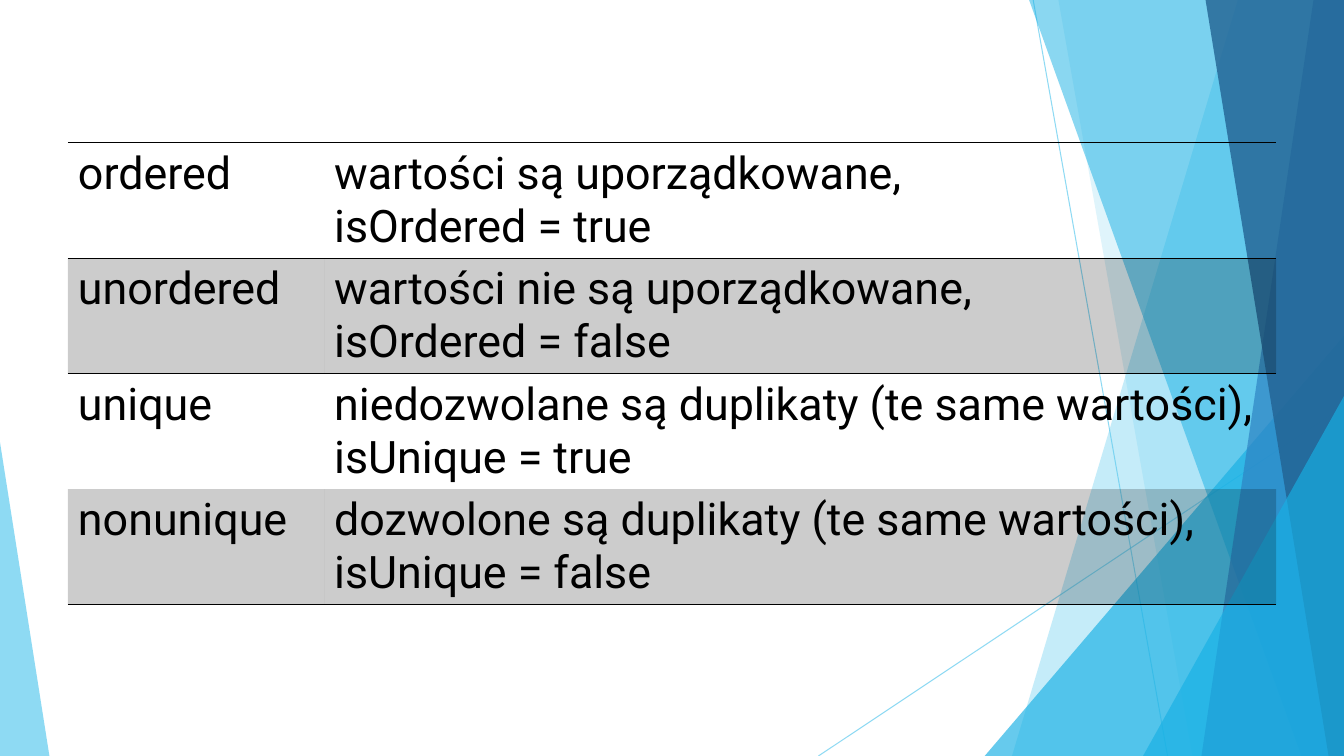
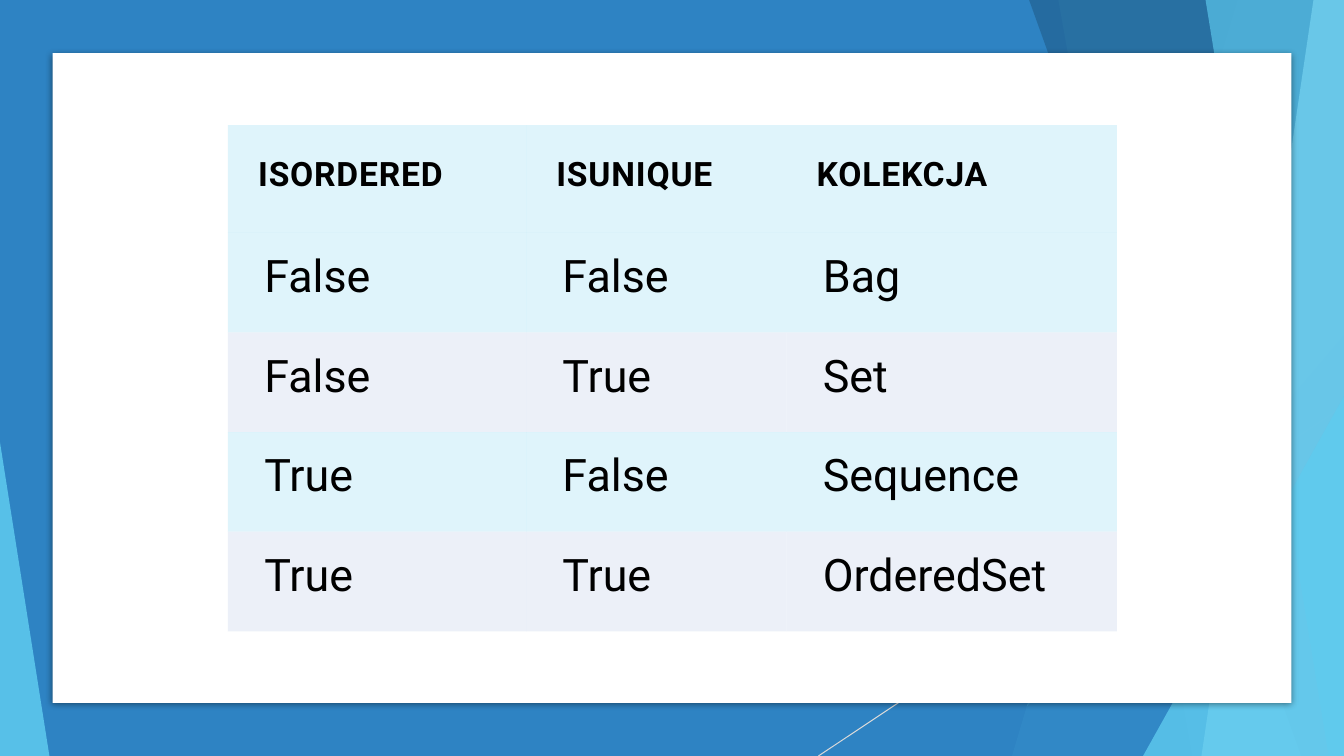
from lxml import etree
from pptx import Presentation
from pptx.dml.color import RGBColor
from pptx.enum.shapes import MSO_CONNECTOR, MSO_SHAPE
from pptx.oxml.ns import qn
from pptx.util import Pt

STRAIGHT = MSO_CONNECTOR.STRAIGHT
RECTANGLE = MSO_SHAPE.RECTANGLE
TRIANGLE = MSO_SHAPE.ISOSCELES_TRIANGLE

WIDTH, HEIGHT = 960, 540
FONT = "Roboto"
BLACK, WHITE = "000000", "FFFFFF"
SKY, AZURE, BLUE, NAVY = "5FCBEF", "17B0E4", "2E83C3", "226292"
PALE_SKY, LAVENDER, SILVER = "9FE0F5", "DAE3F3", "D9D9D9"
NO_GRID_STYLE = "{2D5ABB26-0587-4C30-8999-92F81FD0307C}"

STEEP_LINE = (738, 0, 834, HEIGHT)
SHALLOW_LINE = (WIDTH, 290, 584.6, HEIGHT)
FACETS = [
    ("band", 884.2, 722.9),
    ("band", 756, 851.8),
    ("right triangle", 703.4, 239.8),
    ("band", 735.1, 929.5),
    ("band", 938.2, 858.2),
    ("band", 861.1, 949),
    ("right triangle", 816.5, 283),
    ("left triangle", 35.3, 316),
]
LIGHT_PALETTE = [(SKY, 36), (SKY, 20), (AZURE, 66), (AZURE, 50),
                 (BLUE, 70), (NAVY, 80), (AZURE, 66), (SKY, 70)]
DARK_PALETTE = [(SKY, 30), (SKY, 20), (BLUE, 72), (NAVY, 70),
                (PALE_SKY, 70), (SKY, 65), (SKY, 80), (SKY, 85)]


def rgb(value):
    return RGBColor.from_string(value)


def add_alpha(element, percent):
    for color in element.iter(qn("a:srgbClr")):
        etree.SubElement(color, qn("a:alpha"), val=str(percent * 1000))


class Deck:
    """Hold the shared style and the slide being built."""

    def __init__(self):
        self.presentation = Presentation()
        self.presentation.slide_width = Pt(WIDTH)
        self.presentation.slide_height = Pt(HEIGHT)
        self.slide = None

    def new_slide(self):
        layout = self.presentation.slide_layouts[6]
        self.slide = self.presentation.slides.add_slide(layout)

    def paint(self, shape, color, alpha=100):
        shape.shadow.inherit = False
        shape.fill.solid()
        shape.fill.fore_color.rgb = rgb(color)
        add_alpha(shape.element.spPr, alpha)
        shape.line.fill.background()

    def line(self, ends, color, alpha=100):
        connector = self.slide.shapes.add_connector(STRAIGHT, *map(Pt, ends))
        connector.line.color.rgb = rgb(color)
        connector.line.width = Pt(0.75)
        properties = connector.element.spPr
        add_alpha(properties, alpha)
        etree.SubElement(properties, qn("a:effectLst"))

    def rectangle(self, left, top, width, height, color):
        box = map(Pt, (left, top, width, height))
        shape = self.slide.shapes.add_shape(RECTANGLE, *box)
        self.paint(shape, color)
        return shape

    def card(self, left, top, width, height):
        shape = self.rectangle(left, top, width, height, WHITE)
        effects = shape.element.spPr.find(qn("a:effectLst"))
        shadow = etree.SubElement(
            effects, qn("a:outerShdw"), blurRad=str(Pt(5)), dist=str(Pt(1.4)),
            dir="5400000", algn="t", rotWithShape="0")
        etree.SubElement(shadow, qn("a:srgbClr"), val=BLACK)
        add_alpha(shadow, 43)

    def band(self, top_x, bottom_x):
        builder = self.slide.shapes.build_freeform(Pt(top_x), 0)
        corners = [(WIDTH, 0), (WIDTH, HEIGHT), (bottom_x, HEIGHT)]
        builder.add_line_segments([(Pt(x), Pt(y)) for x, y in corners])
        return builder.convert_to_shape()

    def triangle(self, left, right, top, apex):
        box = map(Pt, (left, top, right - left, HEIGHT - top))
        shape = self.slide.shapes.add_shape(TRIANGLE, *box)
        shape.adjustments[0] = apex
        return shape

    def facets(self, palette):
        for (kind, first, second), (color, alpha) in zip(FACETS, palette):
            if kind == "band":
                shape = self.band(first, second)
            elif kind == "right triangle":
                shape = self.triangle(first, WIDTH, second, 1)
            else:
                shape = self.triangle(0, first, second, 0)
            self.paint(shape, color, alpha)

    def table(self, left, top, columns, heights, rows):
        frame = self.slide.shapes.add_table(
            len(rows), len(columns), Pt(left), Pt(top),
            Pt(sum(columns)), Pt(sum(heights)))
        for style in frame.element.iter(qn("a:tableStyleId")):
            style.text = NO_GRID_STYLE
        table = frame.table
        table.first_row = table.horz_banding = False
        for column, width in zip(table.columns, columns):
            column.width = Pt(width)
        for row, height, texts in zip(table.rows, heights, rows):
            row.height = Pt(height)
            for cell, text in zip(row.cells, texts):
                cell.text_frame.text = text
        return table

    def style_cell(self, cell, size=32, bold=False, spacing=0,
                   insets=(7.2, 3.6, 7.2, 3.6), fill=None):
        (cell.margin_left, cell.margin_top,
         cell.margin_right, cell.margin_bottom) = map(Pt, insets)
        for paragraph in cell.text_frame.paragraphs:
            for run in paragraph.runs:
                run.font.name = FONT
                run.font.size = Pt(size)
                run.font.bold = bold
                run.font.color.rgb = rgb(BLACK)
                run.font._element.set("spc", str(spacing))
        if fill:
            color, alpha = fill
            cell.fill.solid()
            cell.fill.fore_color.rgb = rgb(color)
            add_alpha(cell._tc.tcPr, alpha)
        else:
            cell.fill.background()

    def cell_border(self, cell, side):
        border = etree.Element(qn(f"a:{side}"), w=str(Pt(1)))
        fill = etree.SubElement(border, qn("a:solidFill"))
        etree.SubElement(fill, qn("a:srgbClr"), val=BLACK)
        cell._tc.get_or_add_tcPr().insert(0, border)


def build_properties_slide(deck):
    deck.new_slide()
    for ends in (STEEP_LINE, SHALLOW_LINE):
        deck.line(ends, SKY, 70)
    deck.facets(LIGHT_PALETTE)
    rows = [
        ("ordered", "wartości są uporządkowane,\nisOrdered = true"),
        ("unordered", "wartości nie są uporządkowane,\nisOrdered = false"),
        ("unique", "niedozwolane są duplikaty (te same wartości),\nisUnique = true"),
        ("nonunique", "dozwolone są duplikaty (te same wartości),\nisUnique = false"),
    ]
    ruled_edges = {0, 1, len(rows)}
    table = deck.table(48.5, 102, (183, 680), [82.5] * len(rows), rows)
    for index, row in enumerate(table.rows):
        for cell in row.cells:
            deck.style_cell(cell, fill=(BLACK, 20) if index % 2 else None)
            if index + 1 in ruled_edges:
                deck.cell_border(cell, "lnB")
            if index in ruled_edges:
                deck.cell_border(cell, "lnT")


def build_collections_slide(deck):
    deck.new_slide()
    deck.rectangle(0, 0, WIDTH, HEIGHT, BLUE)
    deck.line(SHALLOW_LINE, SILVER)
    deck.facets(DARK_PALETTE)
    deck.card(37.5, 38, 885, 464)
    rows = [
        ("ISORDERED", "ISUNIQUE", "KOLEKCJA"),
        ("False", "False", "Bag"),
        ("False", "True", "Set"),
        ("True", "False", "Sequence"),
        ("True", "True", "OrderedSet"),
    ]
    heights = [77] + [71.2] * (len(rows) - 1)
    table = deck.table(162.8, 89.3, (213, 186, 236), heights, rows)
    for index, row in enumerate(table.rows):
        for cell in row.cells:
            if index == 0:
                deck.style_cell(cell, 24, True, 60, (21.6,) * 4, (SKY, 20))
            else:
                fill = (SKY, 20) if index % 2 else (LAVENDER, 50)
                deck.style_cell(cell, insets=(26, 13, 26, 14.4), fill=fill)


def main():
    deck = Deck()
    build_properties_slide(deck)
    build_collections_slide(deck)
    deck.presentation.save("out.pptx")


if __name__ == "__main__":
    main()
